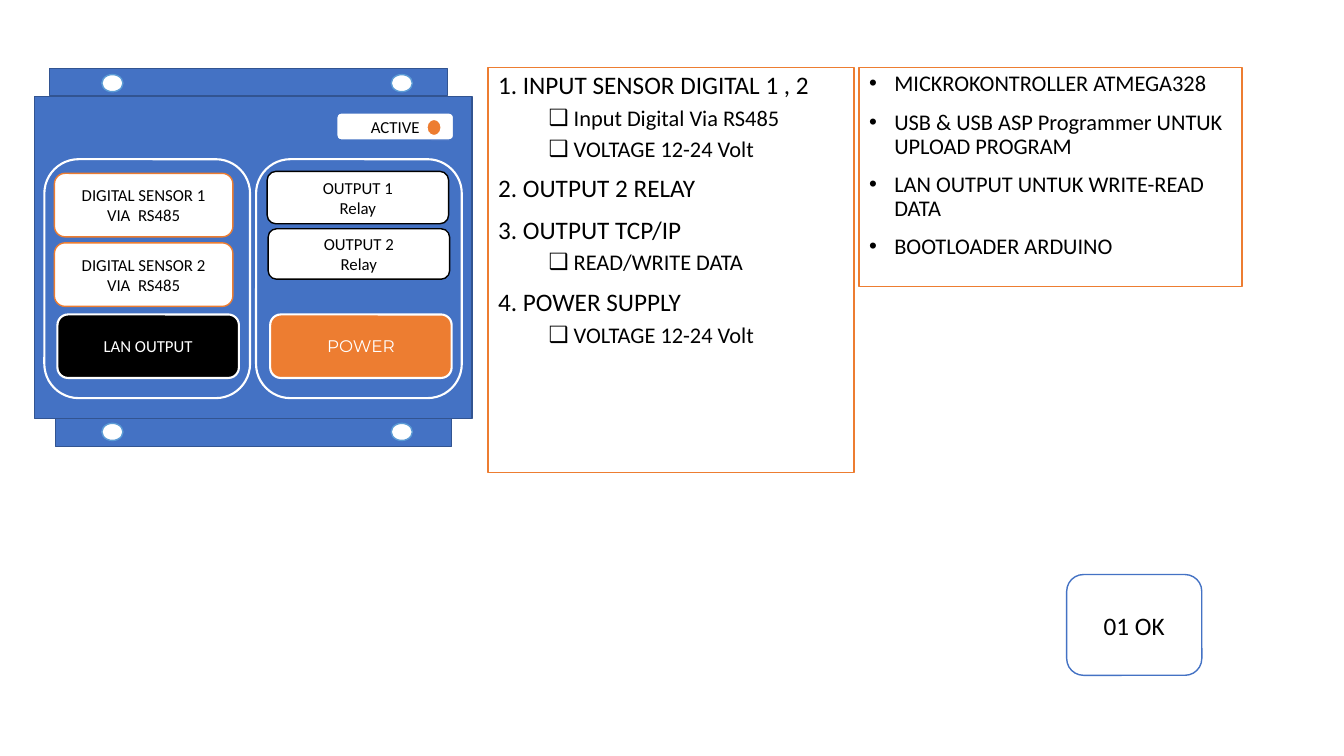
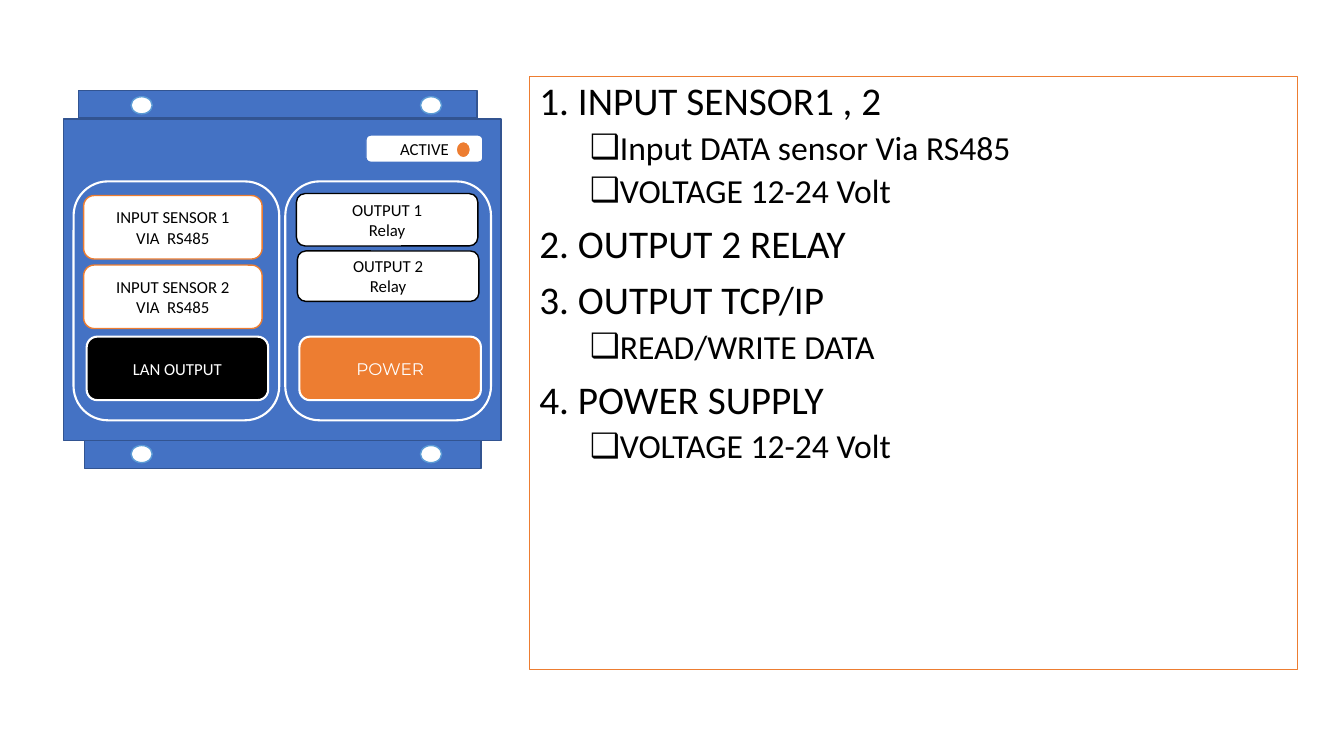
from dataclasses import dataclass
from itertools import product

from lxml import etree
from pptx import Presentation
from pptx.dml.color import RGBColor
from pptx.enum.shapes import MSO_SHAPE
from pptx.enum.text import MSO_ANCHOR, MSO_AUTO_SIZE, PP_ALIGN
from pptx.oxml.ns import qn
from pptx.util import Inches, Pt

RECTANGLE = MSO_SHAPE.RECTANGLE
ROUNDED = MSO_SHAPE.ROUNDED_RECTANGLE
OVAL = MSO_SHAPE.OVAL
CENTER = PP_ALIGN.CENTER
TOP, MIDDLE = MSO_ANCHOR.TOP, MSO_ANCHOR.MIDDLE
NO_AUTOFIT = MSO_AUTO_SIZE.NONE

TWO_LISTS_LAYOUT = 3
ONE_LIST_LAYOUT = 1


@dataclass(frozen=True)
class Theme:
    white: str = "FFFFFF"
    black: str = "000000"
    blue: str = "4472C4"
    dark_blue: str = "325491"
    light_blue: str = "5B9BD5"
    orange: str = "ED7D31"
    font: str = "Calibri"
    power_font: str = "Montserrat"
    label_size: int = 12
    detail_size: int = 16
    heading_size: int = 18
    large_detail_size: int = 24
    large_heading_size: int = 28
    thin: float = 1
    thick: float = 1.5


THEME = Theme()


@dataclass(frozen=True)
class Box:
    left: float
    top: float
    width: float
    height: float

    def moved(self, left: float, top: float) -> "Box":
        return Box(self.left + left, self.top + top, self.width, self.height)

    def lengths(self) -> tuple:
        return tuple(Inches(n) for n in (self.left, self.top, self.width, self.height))


@dataclass(frozen=True)
class Part:
    """One drawn shape with its optional centred label lines."""
    kind: int
    box: Box
    fill: str
    line: str
    line_width: float = THEME.thin
    lines: tuple[str, ...] = ()
    text_color: str = THEME.black
    size: int = THEME.label_size
    font: str = THEME.font


@dataclass(frozen=True)
class ListStyle:
    size: int
    space_before: int
    margin: float = 0
    indent: float = 0
    bullet: str = ""


@dataclass(frozen=True)
class Item:
    text: str
    level: int = 0


# Shared formatting
def paint(shape, fill: str, line: str, line_width: float) -> None:
    shape.fill.solid()
    shape.fill.fore_color.rgb = RGBColor.from_string(fill)
    shape.line.color.rgb = RGBColor.from_string(line)
    shape.line.width = Pt(line_width)


def add_run(paragraph, text: str, size: int, color: str, font: str) -> None:
    run = paragraph.add_run()
    run.text = text
    run.font.name = font
    run.font.size = Pt(size)
    run.font.color.rgb = RGBColor.from_string(color)


def next_paragraph(text_frame, index: int):
    return text_frame.add_paragraph() if index else text_frame.paragraphs[0]


def draw_part(shapes, part: Part, left: float = 0, top: float = 0) -> None:
    shape = shapes.add_shape(part.kind, *part.box.moved(left, top).lengths())
    shape.shadow.inherit = False
    paint(shape, part.fill, part.line, part.line_width)
    shape.text_frame.vertical_anchor = MIDDLE
    for index, line in enumerate(part.lines):
        paragraph = next_paragraph(shape.text_frame, index)
        paragraph.alignment = CENTER
        add_run(paragraph, line, part.size, part.text_color, part.font)


# Lists in body placeholders
def set_bullet(paragraph, style: ListStyle) -> None:
    properties = paragraph._p.get_or_add_pPr()
    properties.set("marL", str(Inches(style.margin)))
    properties.set("indent", str(Inches(style.indent)))
    if style.bullet:
        etree.SubElement(properties, qn("a:buFont")).set("typeface", "Arial")
        etree.SubElement(properties, qn("a:buChar")).set("char", style.bullet)
    else:
        etree.SubElement(properties, qn("a:buNone"))


def fill_list(placeholder, box: Box, items: list[Item], styles: list[ListStyle]) -> None:
    (placeholder.left, placeholder.top,
     placeholder.width, placeholder.height) = box.lengths()
    paint(placeholder, THEME.white, THEME.orange, THEME.thin)
    text_frame = placeholder.text_frame
    text_frame.auto_size = NO_AUTOFIT
    text_frame.vertical_anchor = TOP
    for index, item in enumerate(items):
        style = styles[item.level]
        paragraph = next_paragraph(text_frame, index)
        paragraph.level = item.level
        paragraph.line_spacing = 0.9
        paragraph.space_before = Pt(style.space_before if index else 0)
        set_bullet(paragraph, style)
        add_run(paragraph, item.text, style.size, THEME.black, THEME.font)


def feature_styles(heading_size: int, detail_size: int) -> list[ListStyle]:
    return [ListStyle(heading_size, 10),
            ListStyle(detail_size, 5, 0.75, -0.25, "❑")]


def feature_items(sensor_heading: str, sensor_detail: str) -> list[Item]:
    return [
        Item(sensor_heading),
        Item(sensor_detail, 1),
        Item("VOLTAGE 12-24 Volt", 1),
        Item("2. OUTPUT 2 RELAY"),
        Item("3. OUTPUT TCP/IP"),
        Item("READ/WRITE DATA", 1),
        Item("4. POWER SUPPLY"),
        Item("VOLTAGE 12-24 Volt", 1),
    ]


# Device drawing, measured from its top left corner
def device_parts(sensor_name: str) -> list[Part]:
    theme = THEME
    flanges = [Part(RECTANGLE, box, theme.blue, theme.dark_blue)
               for box in (Box(0.15, 0, 3.95, 0.27), Box(0.21, 3.46, 3.93, 0.29))]
    holes = [Part(OVAL, Box(left, top, 0.21, 0.17), theme.white, theme.light_blue)
             for top, left in product((0.06, 3.52), (0.67, 3.54))]
    housing = Part(RECTANGLE, Box(0, 0.28, 4.34, 3.19), theme.blue, theme.dark_blue)
    active = Part(ROUNDED, Box(3, 0.44, 1.16, 0.27), theme.white, theme.blue,
                  lines=("ACTIVE",))
    lamp = Part(OVAL, Box(3.89, 0.5, 0.15, 0.17), theme.orange, theme.white, theme.thick)
    panels = [Part(ROUNDED, Box(left, 0.9, 2.04, 2.37), theme.blue, theme.white,
                   theme.thick) for left in (0.1, 2.2)]
    outputs = [Part(ROUNDED, box, theme.white, theme.black,
                    lines=(f"OUTPUT {number}", "Relay"))
               for number, box in enumerate(
                   (Box(2.31, 1.02, 1.8, 0.52), Box(2.32, 1.59, 1.8, 0.5)), 1)]
    sensors = [Part(ROUNDED, Box(0.2, 1.04 + 0.69 * index, 1.77, 0.63),
                    theme.white, theme.orange,
                    lines=(f"{sensor_name} {index + 1}", "VIA  RS485"))
               for index in range(2)]
    ports = [Part(ROUNDED, Box(left, 2.44, 1.8, 0.63), fill, theme.white, theme.thick,
                  (label,), theme.white, font=font)
             for left, fill, label, font in (
                 (0.23, theme.black, "LAN OUTPUT", theme.font),
                 (2.34, theme.orange, "POWER", theme.power_font))]
    return [*flanges, *holes, housing, active, lamp,
            *panels, *outputs, *sensors, *ports]


def draw_device(slide, left: float, top: float, sensor_name: str) -> None:
    group = slide.shapes.add_group_shape()
    for part in device_parts(sensor_name):
        draw_part(group.shapes, part, left, top)


def add_untitled_slide(presentation, layout: int):
    slide = presentation.slides.add_slide(presentation.slide_layouts[layout])
    title = slide.shapes.title._element
    title.getparent().remove(title)
    return slide


# Slides
def add_controller_slide(presentation) -> None:
    slide = add_untitled_slide(presentation, TWO_LISTS_LAYOUT)
    fill_list(slide.placeholders[1], Box(4.84, 0.67, 3.63, 4.02),
              feature_items("1. INPUT SENSOR DIGITAL 1 , 2", "Input Digital Via RS485"),
              feature_styles(THEME.heading_size, THEME.detail_size))
    hardware = [
        Item("MICKROKONTROLLER ATMEGA328"),
        Item("USB & USB ASP Programmer UNTUK UPLOAD PROGRAM"),
        Item("LAN OUTPUT UNTUK WRITE-READ DATA"),
        Item("BOOTLOADER ARDUINO"),
    ]
    fill_list(slide.placeholders[2], Box(8.52, 0.67, 3.8, 2.17), hardware,
              [ListStyle(THEME.detail_size, 10, 0.25, -0.25, "•")])
    draw_device(slide, 0.34, 0.68, "DIGITAL SENSOR")
    draw_part(slide.shapes, Part(ROUNDED, Box(10.58, 5.7, 1.34, 1), THEME.white,
                                 THEME.blue, lines=("01 OK",), size=THEME.heading_size))


def add_sensor_slide(presentation) -> None:
    slide = add_untitled_slide(presentation, ONE_LIST_LAYOUT)
    fill_list(slide.placeholders[1], Box(5.25, 0.76, 7.62, 5.88),
              feature_items("1. INPUT SENSOR1 , 2", "Input DATA sensor Via RS485"),
              feature_styles(THEME.large_heading_size, THEME.large_detail_size))
    draw_device(slide, 0.63, 0.9, "INPUT SENSOR")


def main() -> None:
    presentation = Presentation()
    presentation.slide_width = Inches(13.33)
    presentation.slide_height = Inches(7.5)
    add_controller_slide(presentation)
    add_sensor_slide(presentation)
    presentation.save("out.pptx")


if __name__ == "__main__":
    main()
